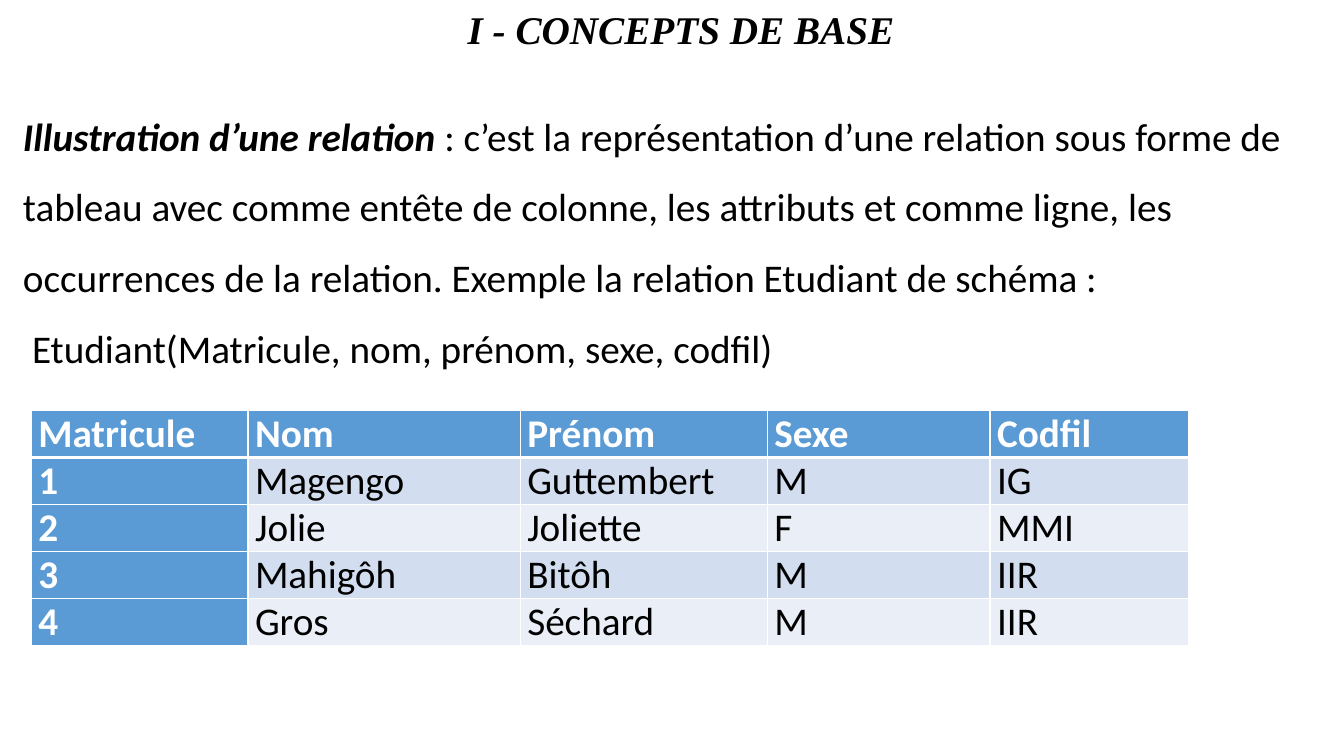
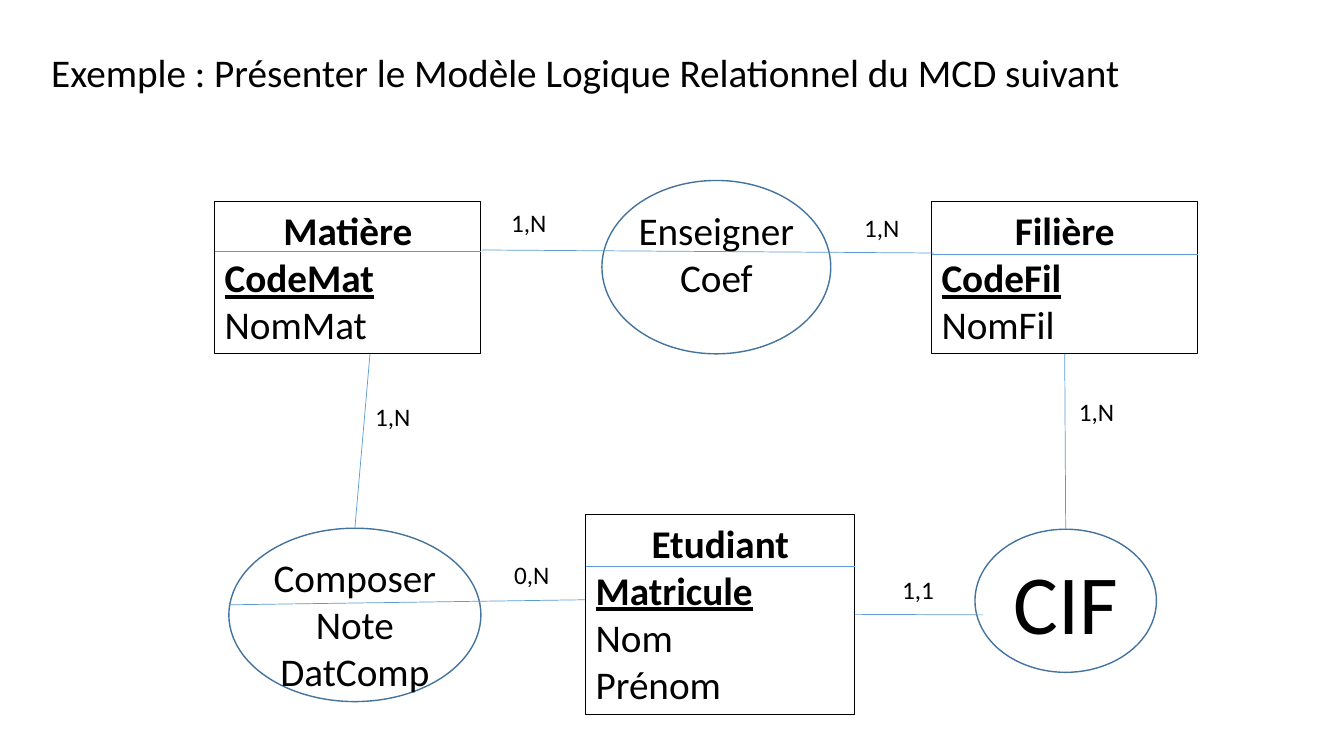
import pptx
import pptx.dml.color
import pptx.enum.shapes
import pptx.enum.text
import pptx.oxml.ns
import pptx.util
from lxml import etree

Inches = pptx.util.Inches
Pt = pptx.util.Pt
SHAPES = pptx.enum.shapes.MSO_SHAPE
ANCHOR = pptx.enum.text.MSO_ANCHOR
ALIGN = pptx.enum.text.PP_ALIGN

COLORS = {
    "text": "000000", "white": "FFFFFF", "blue": "5B9BD5", "outline": "43739E",
    "band_dark": "D2DEEF", "band_light": "EAEFF7",
}
BODY = {"size": Pt(28), "name": "Calibri"}
BOLD = {"bold": True}
KEY = {"bold": True, "underline": True}
LABEL = {"size": Pt(18)}
HEADING = {"name": "Times New Roman", "bold": True, "italic": True}
DEFAULT_INSETS = (0.1, 0.05)

# A paragraph is a list of (text, format) runs.
TITLE = "I - CONCEPTS DE BASE"
DEFINITION = [
    [("Illustration d’une relation", {"bold": True, "italic": True}),
     (" : c’est la représentation d’une relation sous forme de tableau avec comme "
      "entête de colonne, les attributs et comme ligne, les occurrences de la relation. "
      "Exemple la relation Etudiant de schéma :", {})],
    [("Etudiant(Matricule, nom, prénom, sexe, codfil)", {})],
]
STUDENTS = [
    ("Matricule", "Nom", "Prénom", "Sexe", "Codfil"),
    ("1", "Magengo", "Guttembert", "M", "IG"),
    ("2", "Jolie", "Joliette", "F", "MMI"),
    ("3", "Mahigôh", "Bitôh", "M", "IIR"),
    ("4", "Gros", "Séchard", "M", "IIR"),
]
COLUMN_WIDTHS = (2.15, 2.7, 2.45, 2.21, 1.97)
ROW_HEIGHT = 0.466

EXERCISE = "Exemple : Présenter le Modèle Logique Relationnel du MCD suivant"
# name, key, other attributes, box, height of the line under the name
ENTITIES = [
    ("Filière", "CodeFil", ["NomFil"], (9.24, 2, 2.64, 1.51), 2.52),
    ("Matière", "CodeMat", ["NomMat"], (2.13, 2, 2.64, 1.51), 2.49),
    ("Etudiant", "Matricule", ["Nom", "Prénom"], (5.81, 5.1, 2.67, 1.99), 5.62),
]
# lines, box, font size, insets, anchor
ASSOCIATIONS = [
    (["Enseigner", "Coef"], (5.97, 1.79, 2.27, 1.72), 28, (0, 0), ANCHOR.TOP),
    (["Composer", "Note", "DatComp"], (2.27, 5.24, 2.5, 1.72), 28, (0, 0), ANCHOR.TOP),
    (["CIF"], (9.67, 5.25, 1.8, 1.42), 60, DEFAULT_INSETS, ANCHOR.MIDDLE),
]
# start, end, joined start (name, side), joined end
LINKS = [
    ((4.78, 2.48), (9.26, 2.51), None, None),
    ((2.27, 6), (5.8, 5.95), None, None),
    ((3.67, 3.51), (3.52, 5.24), None, ("Composer", 0)),
    ((8.48, 6.1), (9.75, 6.1), ("Etudiant", 3), None),
    ((10.56, 3.51), (10.57, 5.25), ("Filière", 2), ("CIF", 0)),
]
CARDINALITIES = [
    ("1,N", 4.93, 2.06), ("1,N", 8.43, 2.11), ("1,N", 3.58, 3.98),
    ("0,N", 4.96, 5.55), ("1,N", 10.56, 3.93), ("1,1", 8.79, 5.7),
]


def rgb(color):
    return pptx.dml.color.RGBColor.from_string(COLORS[color])


def add_runs(paragraph, runs, color="text"):
    for text, style in runs:
        run = paragraph.add_run()
        run.text = text
        for attribute, value in {**BODY, **style}.items():
            setattr(run.font, attribute, value)
        run.font.color.rgb = rgb(color)


def write(shape, paragraphs, alignments, insets=DEFAULT_INSETS, wrap=True,
          anchor=ANCHOR.TOP, line_spacing=None):
    frame = shape.text_frame
    frame.word_wrap = wrap
    frame.vertical_anchor = anchor
    frame.margin_left = frame.margin_right = Inches(insets[0])
    frame.margin_top = frame.margin_bottom = Inches(insets[1])
    for index, (runs, alignment) in enumerate(zip(paragraphs, alignments)):
        paragraph = frame.add_paragraph() if index else frame.paragraphs[0]
        paragraph.alignment = alignment
        paragraph.line_spacing = line_spacing
        add_runs(paragraph, runs)


def add_text(slide, box, paragraphs, alignment=ALIGN.LEFT, **layout):
    shape = slide.shapes.add_textbox(*map(Inches, box))
    write(shape, paragraphs, [alignment] * len(paragraphs), **layout)
    return shape


def add_outline(slide, kind, box, color, width):
    """Add an unfilled preset shape."""
    shape = slide.shapes.add_shape(kind, *map(Inches, box))
    shape.shadow.inherit = False
    shape.fill.background()
    shape.line.color.rgb = rgb(color)
    shape.line.width = Pt(width)
    return shape


def add_line(slide, start, end):
    line = slide.shapes.add_connector(
        pptx.enum.shapes.MSO_CONNECTOR.STRAIGHT, *map(Inches, start + end))
    line.line.color.rgb = rgb("blue")
    line.line.width = Pt(0.5)
    etree.SubElement(line._element.spPr, pptx.oxml.ns.qn("a:effectLst"))
    return line


def add_border(cell, side, width):
    border = etree.SubElement(cell._tc.get_or_add_tcPr(),
                              pptx.oxml.ns.qn("a:ln" + side), w=str(Pt(width)))
    fill = etree.SubElement(border, pptx.oxml.ns.qn("a:solidFill"))
    etree.SubElement(fill, pptx.oxml.ns.qn("a:srgbClr"), val=COLORS["white"])


def add_student_table(slide):
    table = slide.shapes.add_table(
        len(STUDENTS), len(COLUMN_WIDTHS), Inches(0.31), Inches(4.07),
        Inches(sum(COLUMN_WIDTHS)), Inches(ROW_HEIGHT * len(STUDENTS))).table
    table.first_col = True
    for column, width in zip(table.columns, COLUMN_WIDTHS):
        column.width = Inches(width)
    for row_index, values in enumerate(STUDENTS):
        table.rows[row_index].height = Inches(ROW_HEIGHT)
        for column_index, value in enumerate(values):
            cell = table.cell(row_index, column_index)
            cell.margin_left = cell.margin_right = Inches(0.07)
            cell.margin_top = cell.margin_bottom = 0
            for side in "LRTB":
                under_header = (row_index, side) in ((0, "B"), (1, "T"))
                add_border(cell, side, 3 if under_header else 1)
            header = row_index == 0 or column_index == 0
            band = "band_dark" if row_index % 2 else "band_light"
            cell.fill.solid()
            cell.fill.fore_color.rgb = rgb("blue" if header else band)
            add_runs(cell.text_frame.paragraphs[0], [(value, {"bold": header})],
                     "white" if header else "text")


def build_relation_slide(slide):
    definition = add_text(slide, (0.13, 0.83, 13.03, 3.56), DEFINITION, line_spacing=1.5)
    schema = definition.text_frame.paragraphs[1]
    schema._p.get_or_add_pPr().set("marL", str(Inches(0.09)))
    add_student_table(slide)
    add_text(slide, (4.54, 0, 4.48, 0.57), [[(TITLE, HEADING)]], wrap=False)


def build_model_slide(slide):
    nodes = {}
    for name, key, attributes, box, divider in ENTITIES:
        nodes[name] = add_outline(slide, SHAPES.RECTANGLE, box, "text", 0.75)
        paragraphs = [[(name, BOLD)], [(key, KEY)]] + [[(text, {})] for text in attributes]
        write(nodes[name], paragraphs, [ALIGN.CENTER] + [ALIGN.LEFT] * (len(paragraphs) - 1))
        add_line(slide, (box[0], divider), (box[0] + box[2], divider))
    for lines, box, size, insets, anchor in ASSOCIATIONS:
        ellipse = nodes[lines[0]] = add_outline(slide, SHAPES.OVAL, box, "outline", 1)
        write(ellipse, [[(text, {"size": Pt(size)})] for text in lines],
              [ALIGN.CENTER] * len(lines), insets=insets, anchor=anchor)
    for start, end, joined_start, joined_end in LINKS:
        line = add_line(slide, start, end)
        if joined_start:
            line.begin_connect(nodes[joined_start[0]], joined_start[1])
        if joined_end:
            line.end_connect(nodes[joined_end[0]], joined_end[1])
    for text, left, top in CARDINALITIES:
        add_text(slide, (left, top, 0.63, 0.3), [[(text, LABEL)]], ALIGN.CENTER, insets=(0, 0))
    add_text(slide, (0.41, 0.43, 12.19, 0.57), [[(EXERCISE, {})]])


def main():
    presentation = pptx.Presentation()
    presentation.slide_width = Inches(13.33)
    presentation.slide_height = Inches(7.5)
    for build in (build_relation_slide, build_model_slide):
        build(presentation.slides.add_slide(presentation.slide_layouts[6]))
    presentation.save("out.pptx")


if __name__ == "__main__":
    main()
